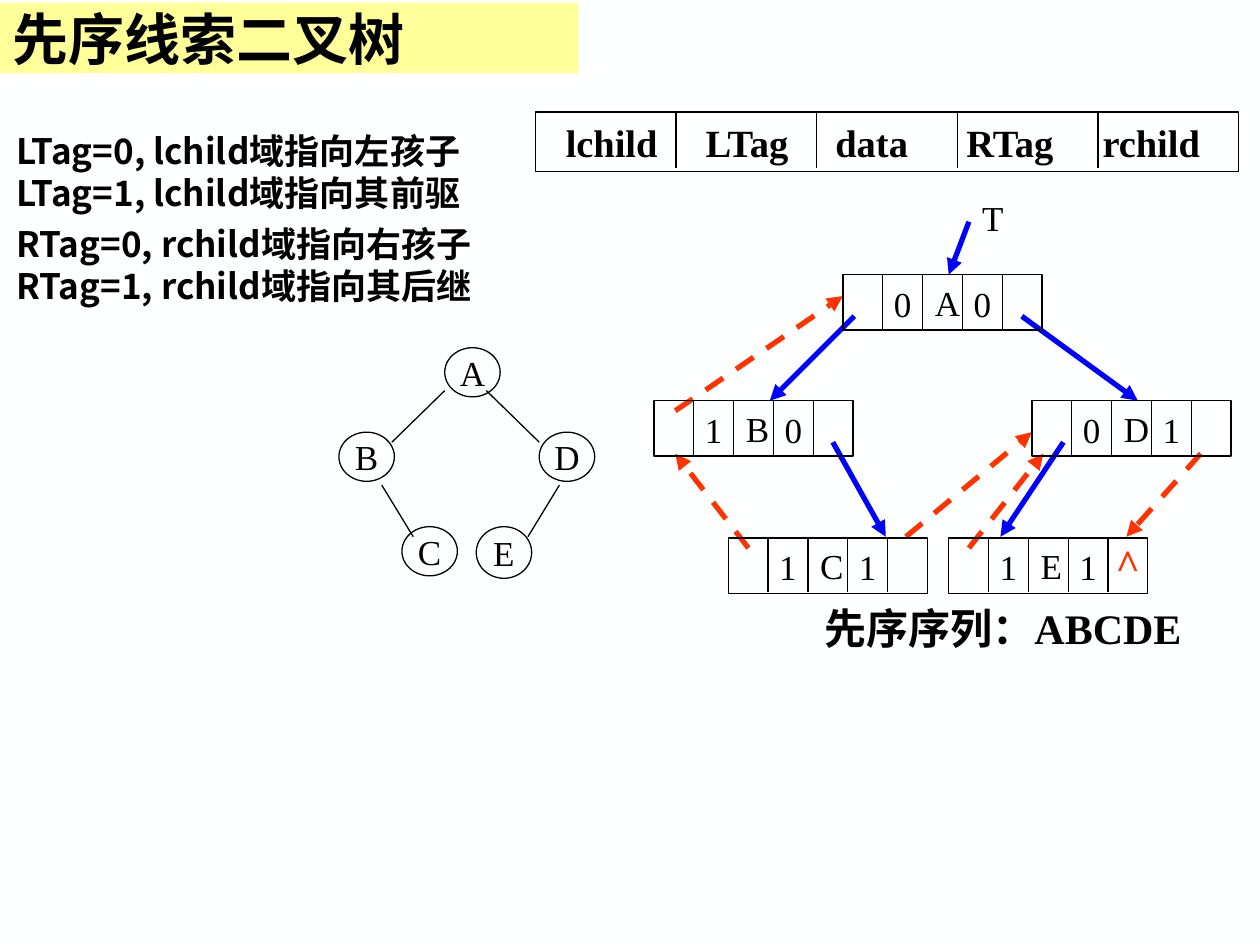
from lxml.etree import SubElement
from pptx import Presentation
from pptx.dml.color import RGBColor
from pptx.enum.dml import MSO_LINE_DASH_STYLE as Dash
from pptx.enum.shapes import MSO_CONNECTOR as Connector, MSO_SHAPE as Shape
from pptx.enum.text import MSO_ANCHOR as Anchor, MSO_AUTO_SIZE as AutoSize, PP_ALIGN as Align
from pptx.oxml.ns import qn
from pptx.util import Inches, Pt

COLORS = {"black": "000000", "blue": "0000FF", "red": "FF3300", "yellow": "FFFF99", "paper": "FEFFFF"}
SERIF, SANS = "Times New Roman", "Noto Sans CJK SC"

TITLE = "先序线索二叉树"
RULES = [
    "LTag=0, lchild域指向左孩子\vLTag=1, lchild域指向其前驱",
    "RTag=0, rchild域指向右孩子\vRTag=1, rchild域指向其后继",
]
FIELDS = ["lchild", "LTag", "data", "RTag", "rchild"]
FIELD_TABS = [1.11, 2.14, 3.18, 4.26]
SEQUENCE = "先序序列：ABCDE"

TREE_NODES = [("A", 3.53, 2.76, 0.39), ("B", 2.69, 3.43, 0.39), ("C", 3.19, 4.18, 0.39),
              ("D", 4.28, 3.43, 0.39), ("E", 3.78, 4.18, 0.41)]
TREE_EDGES = [(3.53, 3.1, 3.11, 3.51), (3.86, 3.1, 4.28, 3.51),
              (3.03, 3.85, 3.28, 4.26), (4.44, 3.85, 4.19, 4.26)]
RECORDS = [("A", 6.69, 2.18, "0", "0"), ("B", 5.19, 3.18, "1", "0"), ("D", 8.19, 3.18, "0", "1"),
           ("C", 5.78, 4.27, "1", "1"), ("E", 7.53, 4.27, "1", "1")]
CHILD_LINKS = [(6.78, 2.51, 6.11, 3.18), (8.11, 2.51, 9.03, 3.18), (6.61, 3.51, 7.03, 4.26),
               (8.44, 3.51, 7.94, 4.26), (7.69, 1.76, 7.53, 2.18)]
THREADS = [(5.36, 3.26, 6.69, 2.35), (5.94, 4.35, 5.36, 3.6), (7.19, 4.26, 8.19, 3.43),
           (9.53, 3.6, 8.94, 4.26), (7.69, 4.35, 8.28, 3.6)]
RECORD_WIDTH, RECORD_HEIGHT, CELLS = 1.58, 0.44, 5


def rgb(name):
    return RGBColor.from_string(COLORS[name])


def style(para, size, font=SERIF, bold=False, color="black", align=Align.LEFT):
    para.alignment = align
    for span in para.runs:
        span.font.size = Pt(size)
        span.font.name = font
        span.font.bold = bold
        span.font.color.rgb = rgb(color)
        SubElement(span.font._element, qn("a:ea")).set("typeface", SANS)


def place(shape, left, top, width, height):
    shape.left, shape.top = Inches(left), Inches(top)
    shape.width, shape.height = Inches(width), Inches(height)


def add_line(page, ends, color="black", width=0.75, arrow=False, dashed=False):
    line = page.shapes.add_connector(Connector.STRAIGHT, *map(Inches, ends))
    line.line.color.rgb = rgb(color)
    line.line.width = Pt(width)
    if dashed:
        line.line.dash_style = Dash.DASH
    if arrow:
        SubElement(line.line._get_or_add_ln(), qn("a:tailEnd")).set("type", "triangle")
    SubElement(line._element.spPr, qn("a:effectLst"))


def add_outline(page, kind, left, top, width, height):
    shape = page.shapes.add_shape(kind, *map(Inches, (left, top, width, height)))
    shape.shadow.inherit = False
    shape.fill.background()
    shape.line.color.rgb = rgb("black")
    shape.line.width = Pt(0.75)
    shape.text_frame.vertical_anchor = Anchor.MIDDLE
    shape.text_frame.word_wrap = False
    return shape.text_frame


def add_label(page, text, center, top, size=20, bold=False, color="black", width=0.34, height=0.44):
    box = page.shapes.add_textbox(*map(Inches, (center - width / 2, top, width, height)))
    frame = box.text_frame
    frame.word_wrap = False
    frame.vertical_anchor = Anchor.MIDDLE
    frame.text = text
    style(frame.paragraphs[0], size, bold=bold, color=color, align=Align.CENTER)


def add_dividers(page, left, top, width, height):
    for column in range(1, CELLS):
        x = left + column * width / CELLS
        add_line(page, (x, top, x, top + height))


def add_record(page, name, left, top, left_tag, right_tag):
    frame = add_outline(page, Shape.RECTANGLE, left, top, RECORD_WIDTH, RECORD_HEIGHT)
    frame.margin_left = Inches(0.73)
    frame.text = name
    style(frame.paragraphs[0], 20)
    add_dividers(page, left, top, RECORD_WIDTH, 0.43)
    for tag, column in ((left_tag, 1.5), (right_tag, 3.5)):
        add_label(page, tag, left + column * RECORD_WIDTH / CELLS, top + 0.01)


def add_header(page):
    left, top, width, height = 4.25, 0.89, 5.58, 0.47
    frame = add_outline(page, Shape.RECTANGLE, left, top, width, height)
    frame.margin_left = Inches(0.24)
    para = frame.paragraphs[0]
    para.text = "\t".join(FIELDS)
    tabs = SubElement(para._p.get_or_add_pPr(), qn("a:tabLst"))
    for stop in FIELD_TABS:
        tab = SubElement(tabs, qn("a:tab"))
        tab.set("pos", str(Inches(stop)))
        tab.set("algn", "l")
    style(para, 22, bold=True)
    add_dividers(page, left, top + 0.01, width, 0.43)


def fill_placeholders(page):
    title, body = page.shapes.title, page.placeholders[1]
    place(title, 0, 0.02, 4.59, 0.56)
    title.fill.solid()
    title.fill.fore_color.rgb = rgb("yellow")
    title.text_frame.text = TITLE
    title.text_frame.vertical_anchor = Anchor.MIDDLE
    style(title.text_frame.paragraphs[0], 32, SANS, True)
    place(body, 0.03, 0.98, 3.94, 1.51)
    frame = body.text_frame
    for index, rule in enumerate(RULES):
        para = frame.add_paragraph() if index else frame.paragraphs[0]
        para.text = rule
        para.line_spacing = Pt(24)
        para.space_before = Pt(5 if index else 0)
        props = para._p.get_or_add_pPr()
        props.set("marL", "0")
        props.set("indent", "0")
        SubElement(props, qn("a:buNone"))
        style(para, 20, SANS, True)
    for holder in (title, body):
        holder.text_frame.word_wrap = True
        holder.text_frame.auto_size = AutoSize.NONE


def main():
    deck = Presentation()
    deck.slide_width, deck.slide_height = Inches(10), Inches(7.5)
    page = deck.slides.add_slide(deck.slide_layouts[1])
    page.background.fill.solid()
    page.background.fill.fore_color.rgb = rgb("paper")
    fill_placeholders(page)
    for name, left, top, height in TREE_NODES:
        frame = add_outline(page, Shape.OVAL, left, top, 0.44, height)
        frame.text = name
        style(frame.paragraphs[0], 20, align=Align.CENTER)
    for ends in TREE_EDGES:
        add_line(page, ends)
    for ends in CHILD_LINKS:
        add_line(page, ends, "blue", 3, arrow=True)
    for ends in THREADS:
        add_line(page, ends, "red", 3, arrow=True, dashed=True)
    for record in RECORDS:
        add_record(page, *record)
    add_label(page, "^", 8.95, 4.22, 24, True, "red", 0.39, 0.5)
    add_label(page, "T", 7.88, 1.51, width=0.37)
    add_label(page, SEQUENCE, 7.96, 4.73, 24, True, width=3.11, height=0.5)
    add_header(page)
    deck.save("out.pptx")


if __name__ == "__main__":
    main()
